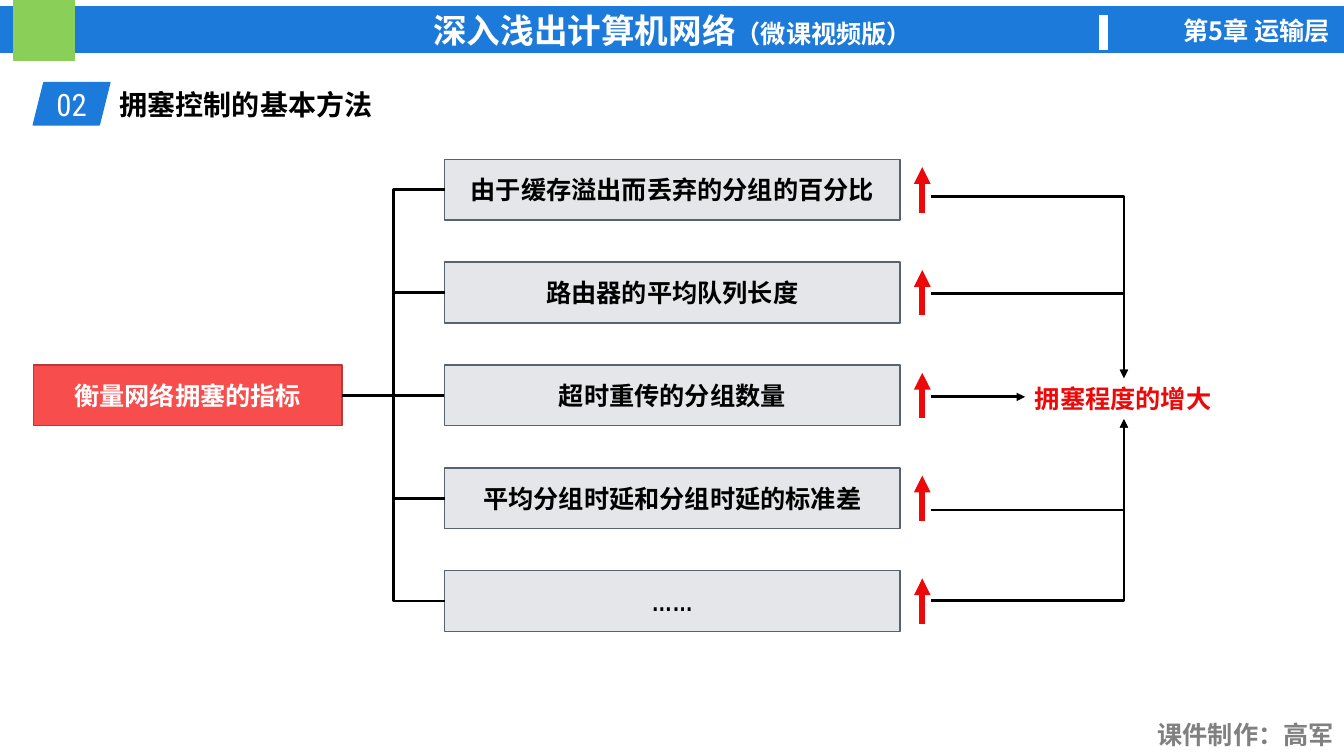
import pptx
import pptx.util
import pptx.dml.color
import pptx.enum.shapes
import pptx.enum.text
import pptx.oxml.ns
from lxml import etree

Pt = pptx.util.Pt
SHAPE = pptx.enum.shapes.MSO_SHAPE
LINK = pptx.enum.shapes.MSO_CONNECTOR
ALIGN = pptx.enum.text.PP_ALIGN
ANCHOR = pptx.enum.text.MSO_ANCHOR
qn = pptx.oxml.ns.qn

# Content
TITLE = [("深入浅出计算机网络", 24), ("（微课视频版）", 18)]
CHAPTER = "第5章 运输层"
CREDIT = "课件制作：高军"
NUMBER = "02"
TOPIC = "拥塞控制的基本方法"
ROOT = "衡量网络拥塞的指标"
SIGNS = [
    "由于缓存溢出而丢弃的分组的百分比",
    "路由器的平均队列长度",
    "超时重传的分组数量",
    "平均分组时延和分组时延的标准差",
    "……",
]
RESULT = "拥塞程度的增大"

BLUE, GREEN, WHITE, BLACK = "1B7ADA", "8ACF57", "FFFFFF", "000000"
RED, GREY = "EB0909", "808080"
LATIN, HAN = "Arial Narrow", "Noto Sans CJK SC"

# Layout of the diagram
TOP, STEP, HIGH = 113.8, 73.45, 43.4
MID = len(SIGNS) // 2
RISE_X, FEED_X, GOAL_X = 658.8, 665.3, 802.8
GOAL_Y = 283.5
# Feed start and the edge of the result it reaches
FEEDS = [(140.4, 270), (209.5, 270), (364.3, 299.5), (429.1, 299.5)]

deck = pptx.Presentation()
deck.slide_width, deck.slide_height = Pt(960), Pt(540)
slide = deck.slides.add_slide(deck.slide_layouts[6])


def color(code):
    return pptx.dml.color.RGBColor.from_string(code)


def write(shape, text, size=18, ink=BLACK, bold=True, font=LATIN,
          align=ALIGN.CENTER, anchor=ANCHOR.MIDDLE):
    frame = shape.text_frame
    frame.word_wrap = True
    frame.vertical_anchor = anchor
    para = frame.paragraphs[0]
    para.alignment = align
    parts = [(text, size)] if isinstance(text, str) else text
    for words, points in parts:
        run = para.add_run()
        run.text = words
        run.font.size = Pt(points)
        run.font.bold = bold
        run.font.color.rgb = color(ink)
        run.font.name = font
        east = etree.SubElement(run.font._element, qn("a:ea"))
        east.set("typeface", HAN)


def block(x, y, w, h, fill, edge=None, kind=SHAPE.RECTANGLE):
    shape = slide.shapes.add_shape(kind, Pt(x), Pt(y), Pt(w), Pt(h))
    shape.shadow.inherit = False
    shape.fill.solid()
    shape.fill.fore_color.rgb = color(fill)
    shape.line.color.rgb = color(edge or fill)
    shape.line.width = Pt(1)
    return shape


def label(x, y, w, h, text, **look):
    box = slide.shapes.add_textbox(Pt(x), Pt(y), Pt(w), Pt(h))
    write(box, text, anchor=ANCHOR.TOP, **look)


def wire(x1, y1, x2, y2, kind=LINK.STRAIGHT, ink=BLACK, width=2, head=True):
    link = slide.shapes.add_connector(kind, Pt(x1), Pt(y1), Pt(x2), Pt(y2))
    link.line.color.rgb = color(ink)
    link.line.width = Pt(width)
    if head:
        tail = etree.SubElement(link.line._get_or_add_ln(), qn("a:tailEnd"))
        tail.set("type", "triangle")
    etree.SubElement(link._element.spPr, qn("a:effectLst"))
    return link


# Header and footer
write(block(0, 5, 961, 32.4, BLUE), TITLE, ink=WHITE)
block(10.1, 0, 43.2, 43.2, GREEN)
block(785.5, 11.5, 5.8, 23.8, WHITE)
label(799.9, 7.2, 157, 29, CHAPTER, ink=WHITE, font=HAN, align=ALIGN.RIGHT)
label(816.5, 510.5, 143.3, 29, CREDIT, ink=GREY, align=ALIGN.RIGHT)

# Section heading
badge = block(23.8, 59, 54.7, 30.2, BLUE, kind=SHAPE.PARALLELOGRAM)
write(badge, NUMBER, size=22, ink=WHITE, bold=False, font="Roboto Condensed")
label(78.5, 59, 432.7, 31.7, TOPIC, size=20, align=ALIGN.LEFT)

# Root, its signs and their rising arrows
root = block(23.8, TOP + MID * STEP, 220.6, HIGH, "F84D4D", "B73939")
write(root, ROOT, ink=WHITE)
for row, sign in enumerate(SIGNS):
    y = TOP + row * STEP
    box = block(317.5, y, 325.4, HIGH, "E4E6EA", "586371")
    write(box, sign)
    kind = LINK.STRAIGHT if row == MID else LINK.ELBOW
    link = wire(0, 0, 1, 1, kind, head=False)
    link.begin_connect(root, 3)
    link.end_connect(box, 1)
    wire(RISE_X, y + 38, RISE_X, y + 5.6, ink=RED, width=4)

# Result and the lines that feed it
label(732.2, 270, 141.1, 29, RESULT, ink=RED, align=ALIGN.LEFT)
for start, end in FEEDS:
    link = wire(FEED_X, start, GOAL_X, end, LINK.ELBOW)
    link._element.spPr.find(qn("a:prstGeom")).set("prst", "bentConnector2")
wire(FEED_X, GOAL_Y, 732.2, GOAL_Y)

deck.save("out.pptx")
